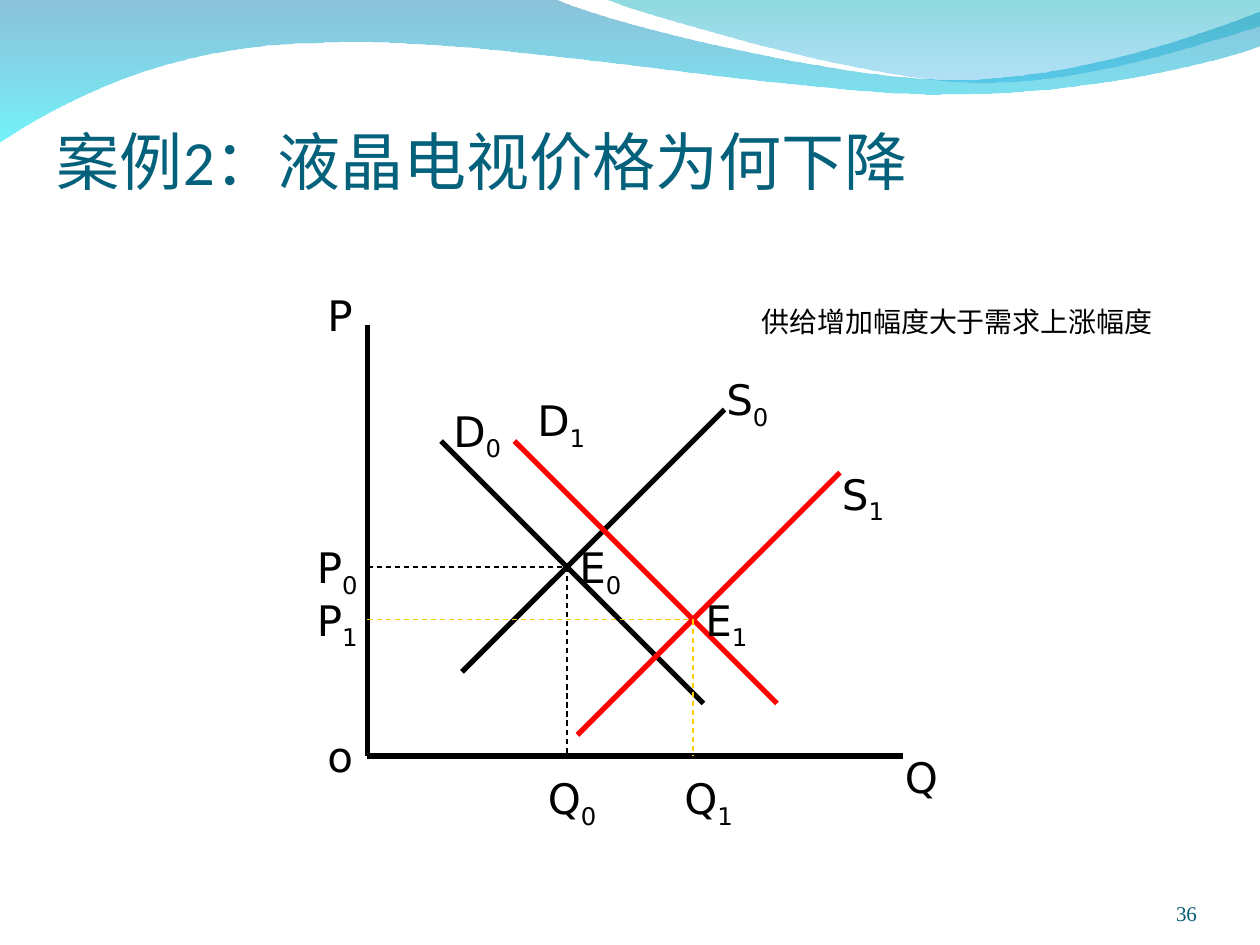
from lxml import etree
from pptx import Presentation
from pptx import util as u
from pptx.dml.color import RGBColor
from pptx.enum import dml, shapes, text
from pptx.oxml.ns import qn

BLACK = RGBColor(0x00, 0x00, 0x00)
RED = RGBColor(0xFF, 0x00, 0x00)
YELLOW = RGBColor(0xFF, 0xCC, 0x00)
TITLE_TEAL = RGBColor(0x04, 0x61, 0x7B)
NUMBER_TEAL = RGBColor(0x04, 0x5C, 0x75)
DEEP_BLUE = RGBColor(0x00, 0x79, 0xAF)
CYAN = RGBColor(0x00, 0xEB, 0xF8)
SEA_GREEN = RGBColor(0x00, 0xAD, 0xB6)
SKY_BLUE = RGBColor(0x00, 0x9B, 0xE5)

deck = Presentation()
deck.slide_width, deck.slide_height = u.Pt(720), u.Pt(540)
slide = deck.slides.add_slide(deck.slide_layouts[6])


def add_words(words, box, font, subscript="", insets=(0, 3.6, 0, 0), align=None, **frame_format):
    frame = slide.shapes.add_textbox(*map(u.Pt, box)).text_frame
    margins = dict(zip(("margin_left", "margin_top", "margin_right", "margin_bottom"), map(u.Pt, insets)))
    for name, value in {"word_wrap": True, **margins, **frame_format}.items():
        setattr(frame, name, value)
    paragraph = frame.paragraphs[0]
    paragraph.alignment = align
    for part, baseline in ((words, None), (subscript, "-25000")):
        if part:
            run = paragraph.add_run()
            run.text = part
            for name, value in font.items():
                if name == "color":
                    run.font.color.rgb = value
                else:
                    setattr(run.font, name, value)
            if baseline:
                run._r.get_or_add_rPr().set("baseline", baseline)


waves = [
    ((0, -0.7),
     [[(316.8, -0.7)],
      [(342.7, 12.2), (478.1, 45.4), (545.8, 45.4)],
      [(614.2, 45.4), (689.8, 18.7), (720, 6.5)],
      [(720.7, 25.9)],
      [(707.8, 31.7), (626.4, 54.7), (537.1, 54)],
      [(447.8, 54), (275, 20.2), (185, 24.5)],
      [(92.9, 25.2), (33.1, 59.8), (-0.7, 81.4)]],
     ((DEEP_BLUE, 45), (CYAN, 55))),
    ((344.9, -0.7),
     [[(366.5, 7.9), (491, 44.6), (553.7, 46.8)],
      [(616.3, 49.7), (691.9, 23), (720, 15.1)],
      [(720, 0)]],
     ((SEA_GREEN, 45), (SKY_BLUE, 30))),
]
for start, segments, colors in waves:
    builder = slide.shapes.build_freeform(*map(u.Pt, start), scale=1.0)
    builder.add_line_segments([(u.Pt(x), u.Pt(y)) for segment in segments for x, y in segment], close=True)
    wave = builder.convert_to_shape()
    sides = iter(list(wave._element.iter(qn("a:lnTo"))))
    for segment in segments:
        first, *others = [next(sides) for _ in segment]
        if others:
            curve = etree.Element(qn("a:cubicBezTo"))
            first.addprevious(curve)
            for side in (first, *others):
                curve.append(side[0])
                side.getparent().remove(side)
    wave.shadow.inherit = False
    wave.line.fill.background()
    wave.fill.gradient()
    wave.fill.gradient_angle = 270
    for stop, (color, _) in zip(wave.fill.gradient_stops, colors):
        stop.color.rgb = color
    for tint, (_, opacity) in zip(wave._element.spPr.iter(qn("a:srgbClr")), colors):
        etree.SubElement(tint, qn("a:alpha")).set("val", str(opacity * 1000))

add_words("36", (624.2, 500.4, 59.8, 28.8),
          {"size": u.Pt(12), "name": "Times New Roman", "color": NUMBER_TEAL},
          insets=(0, 0, 0, 0), align=text.PP_ALIGN.RIGHT, vertical_anchor=text.MSO_ANCHOR.BOTTOM)
add_words("案例2：液晶电视价格为何下降", (32.6, 23.4, 648, 90),
          {"size": u.Pt(36), "name": "Calibri", "color": TITLE_TEAL},
          vertical_anchor=text.MSO_ANCHOR.BOTTOM)

axis_x, axis_y = 210, 432
old_q, old_p = 324, 324
new_q, new_p = 396, 354
solid = {"width": u.Pt(3)}
dashed = {"width": u.Pt(0.75), "dash_style": dml.MSO_LINE.DASH}
label_font = {"size": u.Pt(24), "name": "DejaVu Sans", "color": BLACK}
graph_parts = [
    ((axis_x, 186, axis_x, axis_y), BLACK, solid),
    ((axis_x, axis_y, 516, axis_y), BLACK, solid),
    ("o", "", 180, 414),
    ("Q", "", 510, 426),
    ((252, 252, 402, 402), BLACK, solid),
    ((264, 384, 414, 234), BLACK, solid),
    ("S", "0", 408, 210),
    ((axis_x, old_p, old_q, old_p), BLACK, dashed),
    ("P", "", 180, 162),
    ((330, 420, 480, 270), RED, solid),
    ("S", "1", 474, 264),
    ((294, 252, 444, 402), RED, solid),
    ("Q", "0", 306, 438),
    ("D", "1", 300, 222),
    ("E", "1", new_q, 336),
    ("E", "0", old_q, 306),
    ("P", "0", 174, 306),
    ((axis_x, new_p, new_q, new_p), YELLOW, dashed),
    ("Q", "1", 384, 438),
    ((old_q, old_p, old_q, axis_y), BLACK, dashed),
    ("P", "1", 174, 336),
    ("D", "0", 252, 228),
    ((new_q, new_p, new_q, axis_y), YELLOW, dashed),
]
for part in graph_parts:
    if len(part) == 4:
        letter, index, left, top = part
        width, height = (72, 40) if index else (42, 36)
        add_words(letter, (left, top, width, height), label_font, subscript=index,
                  insets=(7.2, 3.6, 7.2, 3.6), auto_size=text.MSO_AUTO_SIZE.SHAPE_TO_FIT_TEXT)
        continue
    ends, color, line_format = part
    graph_line = slide.shapes.add_connector(shapes.MSO_CONNECTOR.STRAIGHT, *map(u.Pt, ends))
    graph_line.line.color.rgb = color
    for name, value in line_format.items():
        setattr(graph_line.line, name, value)
    etree.SubElement(graph_line._element.spPr, qn("a:effectLst"))

add_words("供给增加幅度大于需求上涨幅度", (435.3, 163.8, 243.6, 29.5),
          {"size": u.Pt(16), "name": "Calibri", "color": BLACK},
          vertical_anchor=text.MSO_ANCHOR.BOTTOM)

deck.save("out.pptx")
